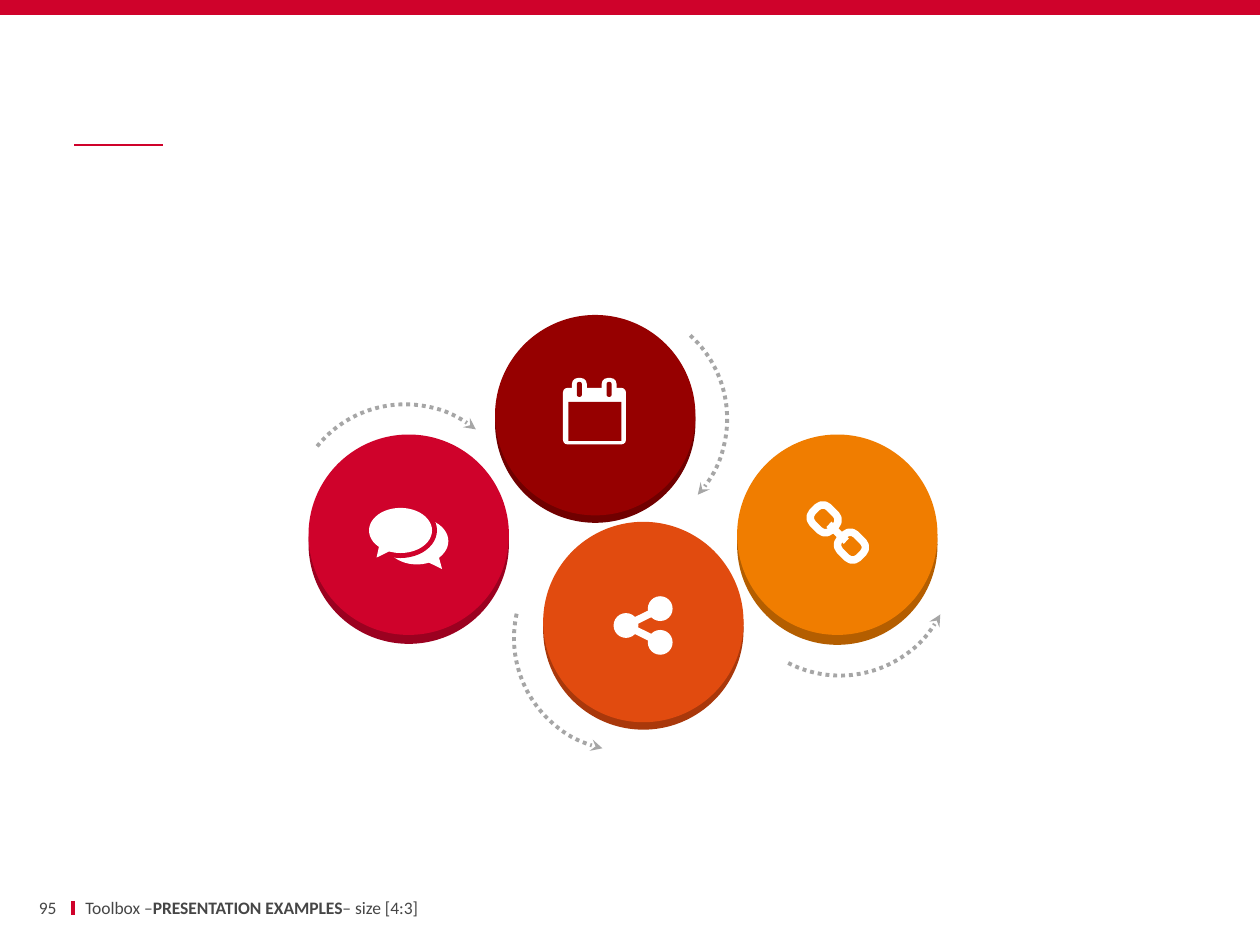
from lxml.etree import SubElement
from pptx import Presentation
from pptx.dml.color import RGBColor
from pptx.enum.dml import MSO_LINE
from pptx.enum.shapes import MSO_CONNECTOR, MSO_SHAPE
from pptx.enum.text import MSO_ANCHOR, PP_ALIGN
from pptx.oxml.ns import qn
from pptx.util import Cm, Pt

RED = RGBColor(0xCF, 0x02, 0x2B)
DARK_RED = RGBColor(0x9B, 0x01, 0x20)
MAROON = RGBColor(0x96, 0x00, 0x00)
DARK_MAROON = RGBColor(0x70, 0x00, 0x00)
RUST = RGBColor(0xE1, 0x4B, 0x0F)
DARK_RUST = RGBColor(0xA9, 0x38, 0x0B)
ORANGE = RGBColor(0xF0, 0x7D, 0x00)
DARK_ORANGE = RGBColor(0xB4, 0x5E, 0x00)
GREY = RGBColor(0xA6, 0xA6, 0xA6)
TEXT = RGBColor(0x46, 0x46, 0x46)
WHITE = RGBColor(0xFF, 0xFF, 0xFF)

DISC_SIZE = 4.04
ARC_SIZE = Cm(4.55)
NODE_SIZE = 0.5
ICON_STROKE = 4.25


def add_filled(shapes, kind, left, top, width, height, color):
    shape = shapes.add_shape(kind, Cm(left), Cm(top), Cm(width), Cm(height))
    shape.shadow.inherit = False
    shape.fill.solid()
    shape.fill.fore_color.rgb = color
    shape.line.fill.background()
    return shape


def add_line(shapes, x1, y1, x2, y2, weight, color):
    line = shapes.add_connector(MSO_CONNECTOR.STRAIGHT, Cm(x1), Cm(y1), Cm(x2), Cm(y2))
    line.line.color.rgb = color
    line.line.width = Pt(weight)
    SubElement(line._element.spPr, qn("a:effectLst"))


deck = Presentation()
deck.slide_width, deck.slide_height = Cm(25.4), Cm(19.05)
page = deck.slides.add_slide(deck.slide_layouts[6])
shapes = page.shapes

add_line(shapes, 1.47, 18.16, 1.47, 18.44, 2.25, RED)
add_line(shapes, 1.5, 2.92, 3.28, 2.92, 1, RED)
add_filled(shapes, MSO_SHAPE.RECTANGLE, 0, 0, 25.4, 0.3, RED)

for left, top, drop, face, edge in [
    (14.86, 8.76, 0.2, ORANGE, DARK_ORANGE),
    (6.22, 8.76, 0.18, RED, DARK_RED),
    (9.98, 6.35, 0.15, MAROON, DARK_MAROON),
    (10.95, 10.52, 0.15, RUST, DARK_RUST),
]:
    disc = shapes.add_group_shape()
    for y, color in [(top + drop, edge), (top, face)]:
        add_filled(disc.shapes, MSO_SHAPE.OVAL, left, y, DISC_SIZE, DISC_SIZE, color)

for left, top, rotation, flipped in [
    (5.89, 8.15, 308.9, False),
    (10.11, 6.17, 42.3, False),
    (10.36, 10.59, 282.5, True),
    (14.66, 9.07, 207.3, True),
]:
    arc = shapes.add_shape(MSO_SHAPE.ARC, Cm(left), Cm(top), ARC_SIZE, ARC_SIZE)
    arc.shadow.inherit = False
    arc.fill.background()
    arc.rotation = rotation
    if flipped:
        arc._element.spPr.xfrm.set("flipH", "1")
    arc.line.color.rgb = GREY
    arc.line.width = Pt(2.25)
    arc.line.dash_style = MSO_LINE.ROUND_DOT
    SubElement(arc.line._get_or_add_ln(), qn("a:tailEnd"), type="stealth")

chat = shapes.add_group_shape().shapes
bubble = MSO_SHAPE.OVAL_CALLOUT
reply = add_filled(chat, bubble, 7.77, 10.44, 1.27, 0.94, WHITE)
add_filled(chat, MSO_SHAPE.OVAL, 7.34, 10.13, 1.47, 1.12, RED)
message = add_filled(chat, bubble, 7.44, 10.24, 1.27, 0.91, WHITE)
for balloon, tail_x in [(reply, 0.4), (message, -0.38)]:
    balloon.adjustments[0] = tail_x
    balloon.adjustments[1] = 0.6

calendar = shapes.add_group_shape().shapes
sheet = add_filled(calendar, MSO_SHAPE.ROUNDED_RECTANGLE, 11.35, 7.82, 1.27, 1.14, WHITE)
sheet.adjustments[0] = 0.08
add_filled(calendar, MSO_SHAPE.RECTANGLE, 11.46, 8.1, 1.07, 0.79, MAROON)
for left in (11.53, 12.13):
    for inset, top, width, height, color in [
        (0, 7.62, 0.3, 0.46, WHITE),
        (0.1, 7.7, 0.1, 0.3, MAROON),
    ]:
        ring = add_filled(
            calendar, MSO_SHAPE.ROUNDED_RECTANGLE, left + inset, top, width, height, color
        )
        ring.adjustments[0] = 0.4

share = shapes.add_group_shape().shapes
hub_x, hub_y, node_x = 12.62, 12.61, 13.31
nodes = [(hub_x, hub_y), (node_x, hub_y - 0.34), (node_x, hub_y + 0.34)]
for x, y in nodes:
    add_line(share, hub_x, hub_y, x, y, ICON_STROKE, WHITE) if x != hub_x else None
    add_filled(
        share, MSO_SHAPE.OVAL, x - NODE_SIZE / 2, y - NODE_SIZE / 2, NODE_SIZE, NODE_SIZE, WHITE
    )

chain = shapes.add_group_shape().shapes
for left, top in [(16.35, 10.23), (16.9, 10.78)]:
    link = chain.add_shape(MSO_SHAPE.ROUNDED_RECTANGLE, Cm(left), Cm(top), Cm(0.53), Cm(0.46))
    link.shadow.inherit = False
    link.fill.background()
    link.line.color.rgb = WHITE
    link.line.width = Pt(ICON_STROKE)
    link.adjustments[0] = 0.35
    link.rotation = 45
add_line(chain, 16.71, 10.57, 17.06, 10.91, ICON_STROKE, WHITE)

for left, width, inset, alignment, spans in [
    (0.33, 0.81, 0, PP_ALIGN.RIGHT, [("95", False)]),
    (1.47, 12.62, 0.25, PP_ALIGN.LEFT,
     [("Toolbox –", False), ("PRESENTATION EXAMPLES", True), ("– size [4:3]", False)]),
]:
    box = shapes.add_textbox(Cm(left), Cm(18.06), Cm(width), Cm(0.46))
    frame = box.text_frame
    frame.word_wrap = True
    frame.vertical_anchor = MSO_ANCHOR.MIDDLE
    frame.margin_left = frame.margin_right = Cm(inset)
    frame.margin_top = frame.margin_bottom = Cm(0.13)
    para = frame.paragraphs[0]
    para.alignment = alignment
    para.font.name = "Calibri"
    para.font.size = Pt(10)
    para.font.color.rgb = TEXT
    for text, bold in spans:
        span = para.add_run()
        span.text = text
        span.font.bold = bold

deck.save("out.pptx")
